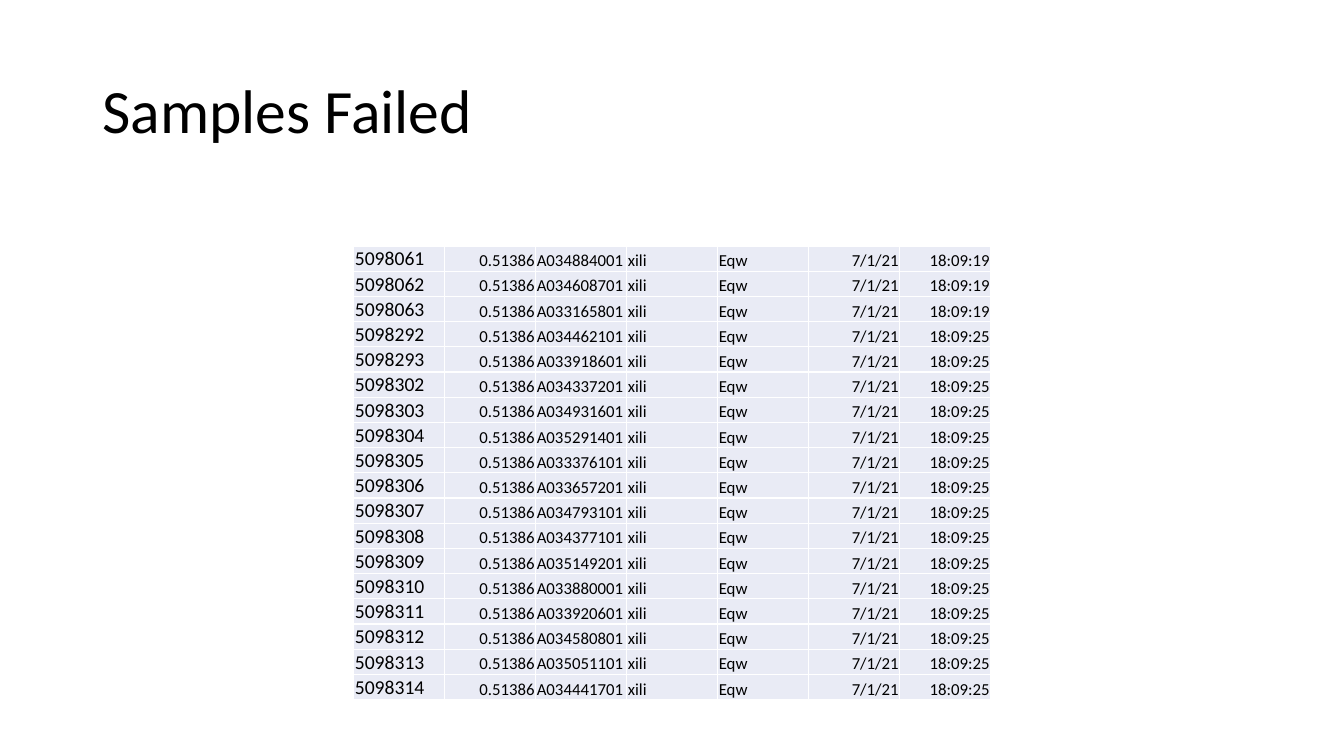
from lxml.etree import SubElement
from pptx import Presentation
from pptx.dml.color import RGBColor
from pptx.enum.text import MSO_ANCHOR, MSO_AUTO_SIZE, PP_ALIGN
from pptx.oxml.ns import qn
from pptx.util import Pt

COLORS = {"text": "000000", "cell": "E9EBF5", "border": "FFFFFF"}

FAILED_SAMPLES = [
    ("5098061", "A034884001", "18:09:19"),
    ("5098062", "A034608701", "18:09:19"),
    ("5098063", "A033165801", "18:09:19"),
    ("5098292", "A034462101", "18:09:25"),
    ("5098293", "A033918601", "18:09:25"),
    ("5098302", "A034337201", "18:09:25"),
    ("5098303", "A034931601", "18:09:25"),
    ("5098304", "A035291401", "18:09:25"),
    ("5098305", "A033376101", "18:09:25"),
    ("5098306", "A033657201", "18:09:25"),
    ("5098307", "A034793101", "18:09:25"),
    ("5098308", "A034377101", "18:09:25"),
    ("5098309", "A035149201", "18:09:25"),
    ("5098310", "A033880001", "18:09:25"),
    ("5098311", "A033920601", "18:09:25"),
    ("5098312", "A034580801", "18:09:25"),
    ("5098313", "A035051101", "18:09:25"),
    ("5098314", "A034441701", "18:09:25"),
]

JOB_ID = {"size": 14, "align": PP_ALIGN.LEFT, "anchor": MSO_ANCHOR.MIDDLE}
LABEL = {"size": 12, "align": PP_ALIGN.LEFT, "anchor": MSO_ANCHOR.BOTTOM}
NUMBER = {**LABEL, "align": PP_ALIGN.RIGHT}
COLUMN_FORMATS = [JOB_ID, NUMBER, LABEL, LABEL, LABEL, NUMBER, NUMBER]


def apply(target, values):
    for key, value in values.items():
        setattr(target, key, value)


class SlideBuilder:
    font_name = "Calibri"

    def __init__(self, slide):
        self.slide = slide

    def format_paragraph(self, paragraph, size, align):
        paragraph.alignment = align
        apply(paragraph.runs[0].font, {"name": self.font_name, "size": Pt(size)})
        paragraph.runs[0].font.color.rgb = RGBColor.from_string(COLORS["text"])

    def title(self, wording, left, top, width, height):
        heading = self.slide.shapes.title
        apply(heading, {"left": Pt(left), "top": Pt(top),
                        "width": Pt(width), "height": Pt(height)})
        apply(heading.text_frame, {"text": wording, "word_wrap": True,
                                   "auto_size": MSO_AUTO_SIZE.NONE,
                                   "vertical_anchor": MSO_ANCHOR.MIDDLE})
        paragraph = heading.text_frame.paragraphs[0]
        paragraph.line_spacing = 0.9
        self.format_paragraph(paragraph, 44, PP_ALIGN.LEFT)

    def cell(self, cell, wording, size, align, anchor):
        apply(cell, {"text": wording, "vertical_anchor": anchor,
                     "margin_left": Pt(0.75), "margin_top": Pt(0.75),
                     "margin_right": Pt(0.75), "margin_bottom": 0})
        self.format_paragraph(cell.text_frame.paragraphs[0], size, align)
        properties = cell._tc.get_or_add_tcPr()
        for edge in ("lnL", "lnR", "lnT", "lnB"):
            border = SubElement(properties, qn(f"a:{edge}"), w=str(Pt(1)))
            fill = SubElement(border, qn("a:solidFill"))
            SubElement(fill, qn("a:srgbClr"), val=COLORS["border"])
        cell.fill.solid()
        cell.fill.fore_color.rgb = RGBColor.from_string(COLORS["cell"])

    def table(self, records, formats, left, top, column_width, row_height):
        table = self.slide.shapes.add_table(
            len(records), len(formats), Pt(left), Pt(top),
            Pt(column_width * len(formats)), Pt(row_height * len(records))).table
        apply(table, {"first_row": False, "horz_banding": False})
        for column in table.columns:
            column.width = Pt(column_width)
        for row, record in zip(table.rows, records):
            row.height = Pt(row_height)
            for cell, wording, style in zip(row.cells, record, formats):
                self.cell(cell, wording, **style)


def main():
    deck = Presentation()
    apply(deck, {"slide_width": Pt(960), "slide_height": Pt(540)})
    builder = SlideBuilder(deck.slides.add_slide(deck.slide_layouts[5]))
    builder.title("Samples Failed", 66, 28.75, 828, 104.4)
    records = [(job, "0.51386", sample, "xili", "Eqw", "7/1/21", time)
               for job, sample, time in FAILED_SAMPLES]
    builder.table(records, COLUMN_FORMATS, 252.7, 175.7, 65, 18)
    deck.save("out.pptx")


if __name__ == "__main__":
    main()
